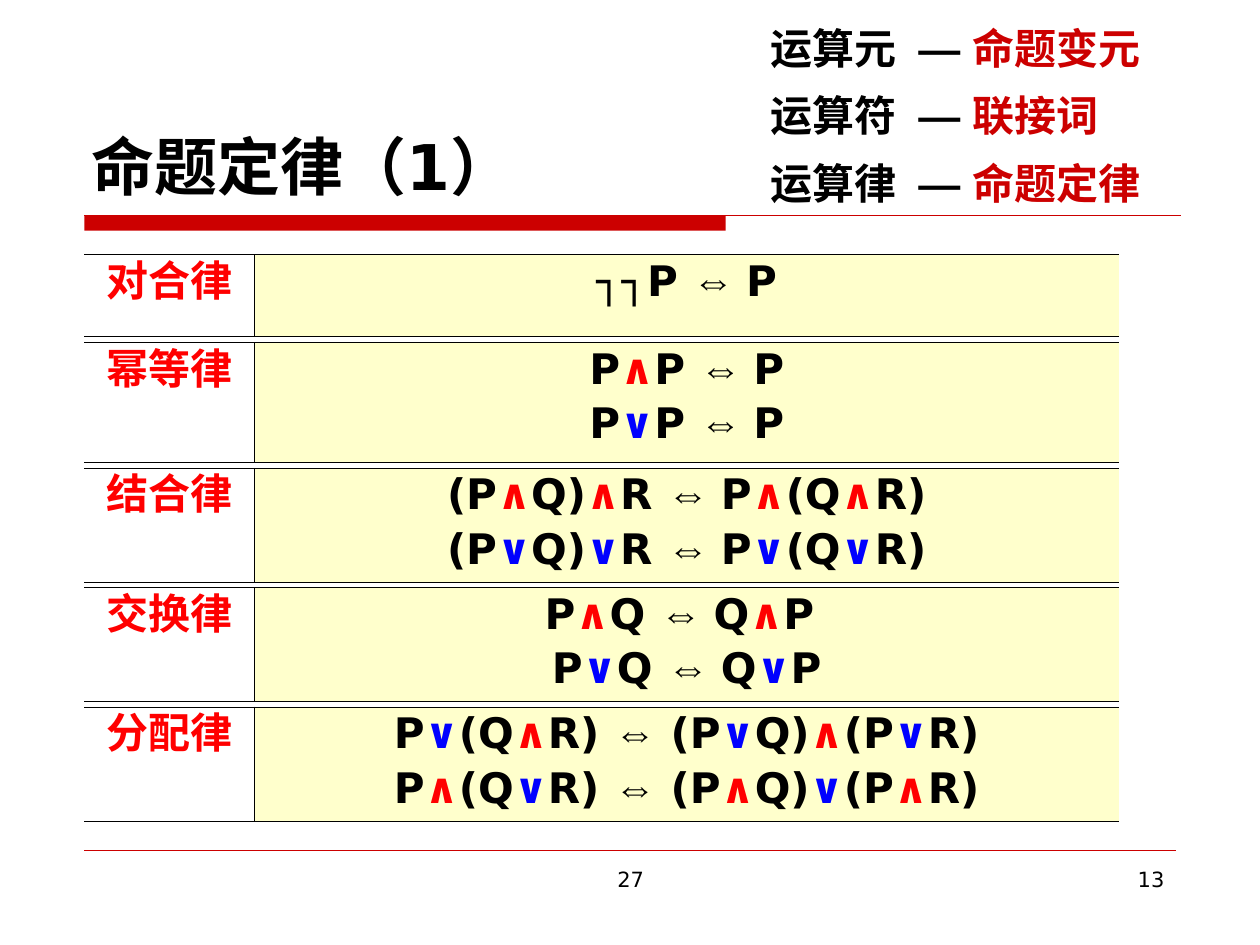
from itertools import groupby

from lxml import etree
from pptx import Presentation
from pptx import util as u
from pptx.dml.color import RGBColor
from pptx.enum import shapes, text
from pptx.oxml import ns

BLACK = RGBColor(0x00, 0x00, 0x00)
RED = RGBColor(0xFF, 0x00, 0x00)
BLUE = RGBColor(0x00, 0x00, 0xFF)
CRIMSON = RGBColor(0xCC, 0x00, 0x00)
CREAM = RGBColor(0xFF, 0xFF, 0xCC)

SYMBOL_COLORS = {"∧": RED, "∨": BLUE}
ARIAL_MARKS = "⇔—_"  # an underscore stands for a space set in Arial
CENTER, RIGHT = text.PP_ALIGN.CENTER, text.PP_ALIGN.RIGHT
LAW_FORMAT = {"alignment": CENTER, "line_spacing": 0.9, "space_before": u.Pt(6)}

deck = Presentation()
deck.slide_width, deck.slide_height = u.Inches(10), u.Inches(7.5)
COL, ROW = deck.slide_width / 100, deck.slide_height / 75
slide = deck.slides.add_slide(deck.slide_layouts[6])


def area(left, top, width, height):
    """Turn grid columns and rows into lengths."""
    return [u.Emu(round(n * step)) for n, step in
            zip((left, top, width, height), (COL, ROW, COL, ROW))]


def write(frame, lines, size, color=BLACK, bold=True, **layout):
    """Fill a text frame; each character's mark decides its font and colour."""
    frame.word_wrap = True
    for number, line in enumerate(lines):
        paragraph = frame.paragraphs[0] if number == 0 else frame.add_paragraph()
        for name, value in layout.items():
            setattr(paragraph, name, value)
        for mark, chars in groupby(
                line, lambda c: c if c in SYMBOL_COLORS else c in ARIAL_MARKS):
            run = paragraph.add_run()
            run.text = "".join(chars).replace("_", " ")
            face = "Arial" if mark is True else "DejaVu Sans"
            style = {"size": u.Pt(size), "bold": bold, "name": face}
            for name, value in style.items():
                setattr(run.font, name, value)
            run.font.color.rgb = BLACK if mark is True else SYMBOL_COLORS.get(mark, color)
            east_asian = etree.SubElement(run.font._element, ns.qn("a:ea"))
            east_asian.set("typeface", face)


# Title bar and rules
bar = slide.shapes.add_shape(shapes.MSO_SHAPE.RECTANGLE, *area(6.7, 17.1, 50.9, 1.2))
bar.shadow.inherit = False
bar.fill.solid()
bar.fill.fore_color.rgb = CRIMSON
bar.line.fill.background()

for right, height, weight in ((93.7, 17.1, 0.74), (93.3, 67.5, 0.26)):
    start_x, start_y, end_x, end_y = area(6.7, height, right, height)
    rule = slide.shapes.add_connector(
        shapes.MSO_CONNECTOR.STRAIGHT, start_x, start_y, end_x, end_y)
    rule.line.color.rgb = CRIMSON
    rule.line.width = u.Pt(weight)
    etree.SubElement(rule._element.spPr, ns.qn("a:effectLst"))

# Title and footer numbers
title = slide.shapes.add_textbox(*area(6.3, 3.3, 87.5, 13.3)).text_frame
title.vertical_anchor = text.MSO_ANCHOR.BOTTOM
write(title, ["命题定律（1）"], 36)
for left, width, number, side in ((34.2, 31.7, "27", CENTER), (71.7, 21.7, "13", RIGHT)):
    footer = slide.shapes.add_textbox(*area(left, 68.3, width, 5.2)).text_frame
    write(footer, [number], 12, bold=False, alignment=side)

# Algebra terms and their logical counterparts
terms = (("运算元", "命题变元"), ("运算符", "联接词"), ("运算律", "命题定律"))
for step, (term, meaning) in enumerate(terms):
    top = 1.3 + 5.35 * step
    for left, width, words, color in ((60.2, 12.4, term, BLACK),
                                      (71.9, 25.5, "—_" + meaning, CRIMSON)):
        label = slide.shapes.add_textbox(*area(left, top, width, 5)).text_frame
        write(label, [words], 24, color)

# One table per law
laws = (
    ("对合律", 6.5, ["┐┐P ⇔_P"]),
    ("幂等律", 9.5, ["P∧P ⇔_P", "P∨P ⇔_P"]),
    ("结合律", 9, ["(P∧Q)∧R ⇔_P∧(Q∧R)", "(P∨Q)∨R ⇔_P∨(Q∨R)"]),
    ("交换律", 9, ["P∧Q ⇔_Q∧P ", "P∨Q ⇔_Q∨P"]),
    ("分配律", 9, ["P∨(Q∧R) ⇔ (P∨Q)∧(P∨R)", "P∧(Q∨R) ⇔ (P∧Q)∨(P∧R)"]),
)
top = 20.2
for law, height, formulas in laws:
    table = slide.shapes.add_table(1, 2, *area(6.7, top, 82.1, height)).table
    top += height + 0.48
    table.first_row = table.horz_banding = False
    table._tbl.tblPr.find(ns.qn("a:tableStyleId")).text = (
        "{2D5ABB26-0587-4C30-8999-92F81FD0307C}")
    for index, (width, lines, color, sides) in enumerate((
            (13.5, [law], RED, "RTB"), (68.6, formulas, BLACK, "LTB"))):
        table.columns[index].width = u.Emu(round(width * COL))
        cell = table.cell(0, index)
        write(cell.text_frame, lines, 24, color, **LAW_FORMAT)
        for side in "LRTB":
            border = etree.SubElement(cell._tc.get_or_add_tcPr(), ns.qn(f"a:ln{side}"))
            if side in sides:
                border.set("w", str(u.Pt(0.45)))
                paint = etree.SubElement(border, ns.qn("a:solidFill"))
                etree.SubElement(paint, ns.qn("a:srgbClr")).set("val", str(BLACK))
            else:
                etree.SubElement(border, ns.qn("a:noFill"))
        if index:
            cell.fill.solid()
            cell.fill.fore_color.rgb = CREAM
        else:
            cell.fill.background()

deck.save("out.pptx")
